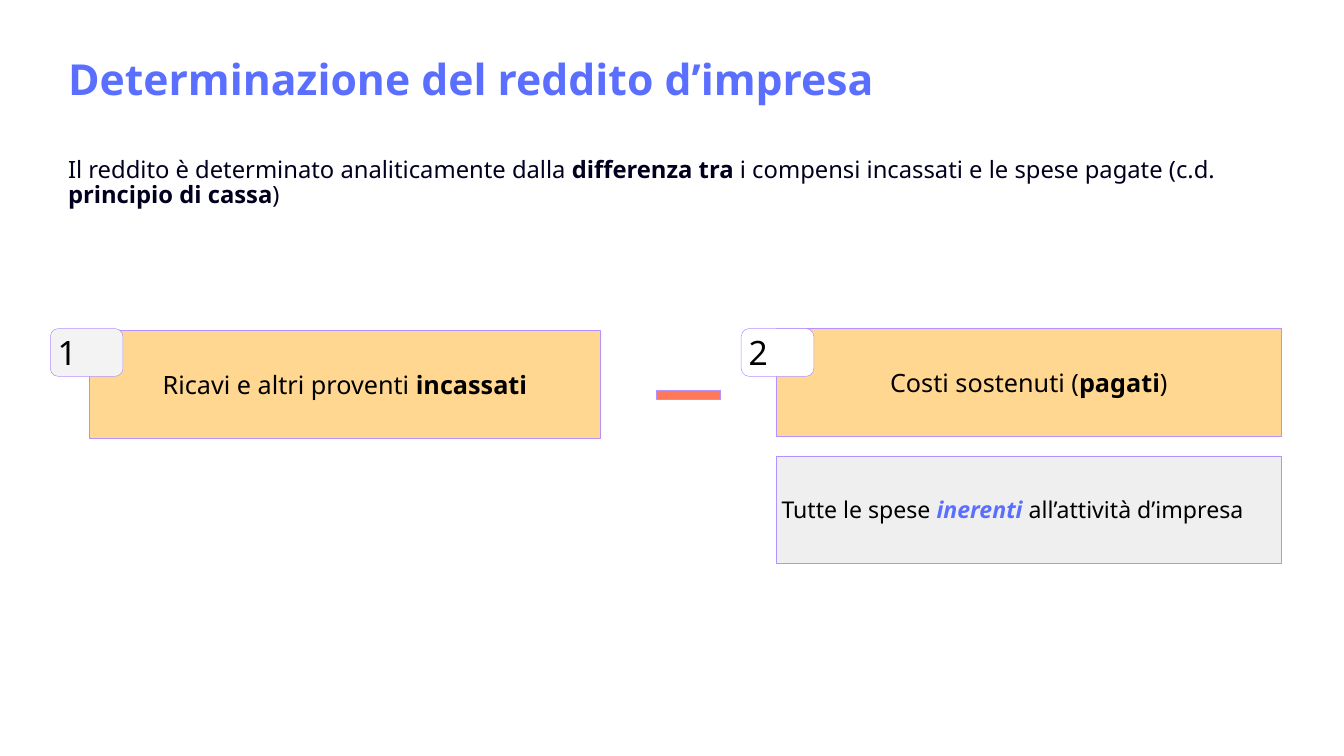
import pptx
import pptx.dml.color
import pptx.enum.shapes
import pptx.enum.text
import pptx.util
from pptx.util import Cm

SHAPES = pptx.enum.shapes.MSO_SHAPE
ANCHORS = pptx.enum.text.MSO_ANCHOR
ALIGNMENTS = pptx.enum.text.PP_ALIGN
FONT = "Noto Sans"
BLUE, BLACK, NAVY = "5A6EFF", "000000", "00001E"
ORANGE, CORAL, LILAC = "FFD791", "FF785A", "B491FF"
BAR_HEIGHT = 5.44
BAR_STEP = 6.43


def rgb(hex_colour):
    """Return the colour of a hex string."""
    return pptx.dml.color.RGBColor.from_string(hex_colour)


def place(part, box):
    """Move a part to a box of left, top, width and height in centimetres."""
    part.left, part.top, part.width, part.height = map(Cm, box)


def write(part, text, size, colour, align, anchor, strong=(), accent=None):
    """Write one paragraph whose pieces, split at bars, are bold where listed."""
    frame = part.text_frame
    frame.word_wrap = True
    frame.auto_size = pptx.enum.text.MSO_AUTO_SIZE.NONE
    frame.vertical_anchor = anchor
    frame.margin_left = frame.margin_right = Cm(0.25)
    frame.margin_top = frame.margin_bottom = Cm(0.25)
    paragraph = frame.paragraphs[0]
    paragraph.alignment = align
    paragraph.space_before = pptx.util.Pt(0)
    for position, piece in enumerate(text.split("|")):
        run = paragraph.add_run()
        run.text = piece
        emphasised = position in strong
        run.font.name = FONT
        run.font.size = pptx.util.Pt(size)
        run.font.bold = emphasised
        run.font.italic = bool(emphasised and accent)
        run.font.color.rgb = rgb(accent if emphasised and accent else colour)
    return paragraph


def add_figure(slide, kind, box, fill):
    """Add a filled preset shape with the thin lilac outline."""
    figure = slide.shapes.add_shape(kind, *map(Cm, box))
    figure.shadow.inherit = False
    figure.fill.solid()
    figure.fill.fore_color.rgb = rgb(fill)
    figure.line.color.rgb = rgb(LILAC)
    figure.line.width = pptx.util.Pt(0.75)
    return figure


def add_heading(slide, box):
    """Fill the title and the introduction below it."""
    left, top, width, height = box
    title, intro = slide.placeholders
    place(title, (left, top, width, height))
    write(title, "Determinazione del reddito d’impresa", 61, BLUE,
          ALIGNMENTS.LEFT, ANCHORS.TOP, strong=(0,))
    place(intro, (left, top + 5.35, width, 4.88))
    principle = write(
        intro,
        "Il reddito è determinato analiticamente dalla |differenza tra"
        "| i compensi incassati e le spese pagate (c.d. |principio di cassa|)",
        34, NAVY, ALIGNMENTS.LEFT, ANCHORS.TOP, strong=(1, 3))
    principle.line_spacing = 0.87
    properties = principle._p.get_or_add_pPr()
    properties.set("marL", "0")
    properties.set("indent", "0")
    bullet = pptx.oxml.parse_xml(
        '<a:buNone xmlns:a="http://schemas.openxmlformats.org/drawingml/2006/main"/>')
    properties.append(bullet)


def add_term(slide, box, number, badge_offset, badge_fill, text):
    """Add one numbered term of the difference, its badge over the corner."""
    left, top = box[:2]
    bar = add_figure(slide, SHAPES.RECTANGLE, box, ORANGE)
    write(bar, text, 36, BLACK, ALIGNMENTS.CENTER, ANCHORS.MIDDLE, strong=(1,))
    badge_box = (left + badge_offset[0], top + badge_offset[1], 3.66, 2.41)
    badge = add_figure(slide, SHAPES.ROUNDED_RECTANGLE, badge_box, badge_fill)
    write(badge, number, 48, BLACK, ALIGNMENTS.LEFT, ANCHORS.MIDDLE)


def add_difference(slide, box):
    """Add income, the minus sign, and costs with their explanation."""
    left, top, width = box
    costs_width = 25.43
    costs_left = left + width - costs_width
    add_term(slide, (left, top + 0.12, 25.73, BAR_HEIGHT), "1", (-1.98, -0.1),
             "F3F3F3", "Ricavi e altri proventi |incassati")
    add_term(slide, (costs_left, top, costs_width, BAR_HEIGHT), "2", (-1.78, 0.02),
             "FFFFFF", "Costi sostenuti (|pagati|)")
    expenses = add_figure(slide, SHAPES.RECTANGLE,
                          (costs_left, top + BAR_STEP, costs_width, BAR_HEIGHT), "EFEFEF")
    write(expenses, "Tutte le spese |inerenti |all’attività d’impresa", 33, BLACK,
          ALIGNMENTS.LEFT, ANCHORS.MIDDLE, strong=(1,), accent=BLUE)
    minus = add_figure(slide, SHAPES.MATH_MINUS,
                       (left + 27.97, top + 2.33, 4.42, 2.03), CORAL)
    minus.adjustments[0] = 0.235


def main():
    """Build the slide and save it."""
    presentation = pptx.Presentation()
    presentation.slide_width = Cm(67.74)
    presentation.slide_height = Cm(38.1)
    slide = presentation.slides.add_slide(presentation.slide_layouts[1])
    add_heading(slide, (3.18, 2.4, 62.3, 5.08))
    add_difference(slide, (4.52, 16.54, 60.05))
    presentation.save("out.pptx")


if __name__ == "__main__":
    main()
